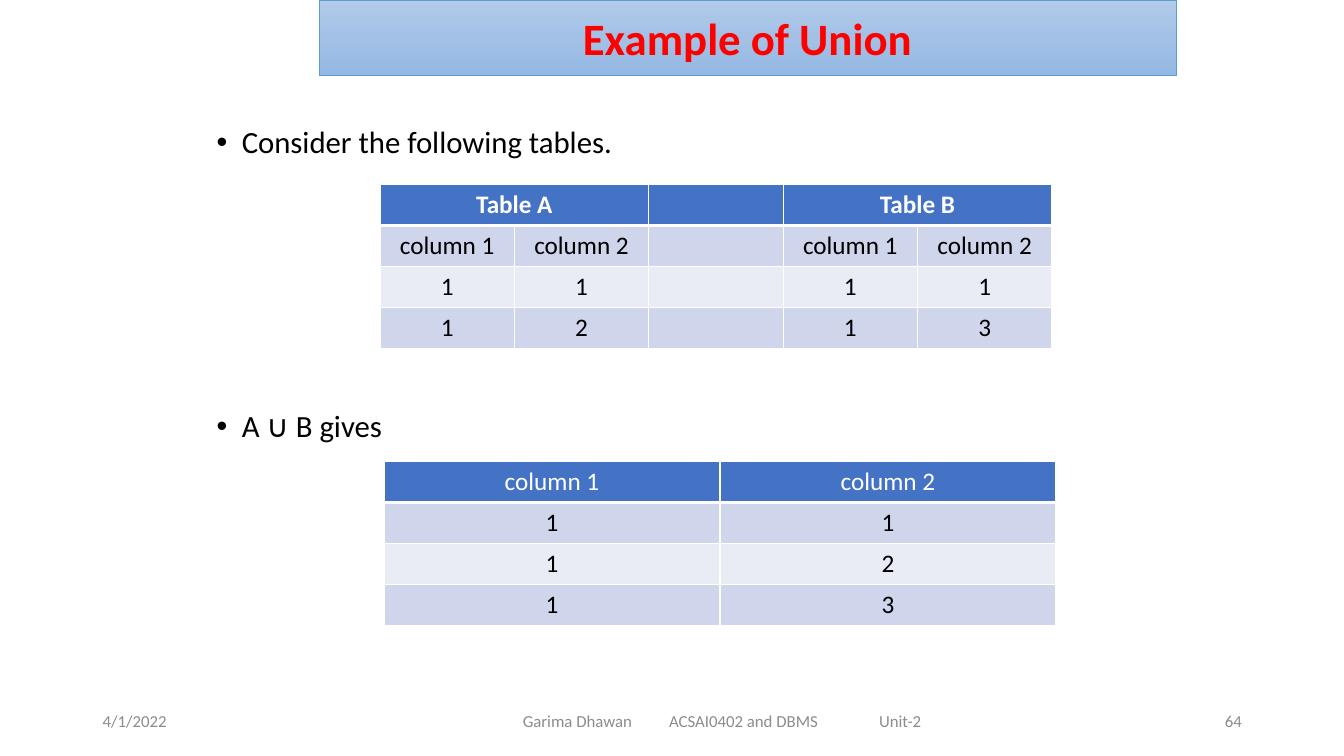
from copy import deepcopy

from pptx import Presentation
from pptx.dml.color import RGBColor
from pptx.enum.shapes import MSO_SHAPE as Shape
from pptx.enum.text import MSO_ANCHOR as Anchor, PP_ALIGN as Align
from pptx.oxml import parse_xml
from pptx.oxml.ns import nsdecls, qn
from pptx.util import Pt

HEADER, BAND, LIGHT = "4472C4", "CFD5EA", "E9EBF5"
GREY, BLACK, WHITE = "8C8C8C", "000000", "FFFFFF"


def color(value):
    return RGBColor.from_string(value)


def write(paragraph, text, size=18, fill=BLACK, bold=False, align=Align.LEFT):
    paragraph.alignment = align
    run = paragraph.add_run()
    run.text = text
    font = run.font
    font.name, font.size, font.bold = "Calibri", Pt(size), bold
    font.color.rgb = color(fill)


presentation = Presentation()
presentation.slide_width, presentation.slide_height = Pt(960), Pt(540)
slide = presentation.slides.add_slide(presentation.slide_layouts[6])

# Footer: date, course line with tab stops, slide number
footers = [
    (66.24, 216, 7.2, "4/1/2022", Align.LEFT),
    (318.24, 396, 55.2, "Garima Dhawan\tACSAI0402 and DBMS\tUnit-2", Align.LEFT),
    (678.24, 216, 7.2, "64", Align.RIGHT),
]
for left, width, inset, text, align in footers:
    frame = slide.shapes.add_textbox(Pt(left), Pt(500.4), Pt(width), Pt(28.8)).text_frame
    frame.word_wrap = True
    frame.vertical_anchor = Anchor.MIDDLE
    frame.margin_left = Pt(inset)
    paragraph = frame.paragraphs[0]
    if "\t" in text:
        tabs = parse_xml(f"<a:tabLst {nsdecls('a')}/>")
        for stop in (104.5, 254.5):
            tab = tabs.makeelement(qn("a:tab"), {"pos": str(Pt(stop)), "algn": "l"})
            tabs.append(tab)
        paragraph._p.get_or_add_pPr().append(tabs)
    write(paragraph, text, size=12, fill=GREY, align=align)

# Title banner
banner = slide.shapes.add_shape(Shape.RECTANGLE, Pt(228), Pt(0), Pt(612), Pt(54))
banner.shadow.inherit = False
banner.line.color.rgb = color("5B9BD5")
banner.line.width = Pt(0.5)
banner.fill.gradient()
banner.fill.gradient_angle = 270
stop_list = banner._element.spPr.find(".//" + qn("a:gsLst"))
stop_list.insert(1, deepcopy(stop_list[0]))
for stop, position, shade in zip(
    banner.fill.gradient_stops, (0, 0.5, 1), ("B1CBE9", "A3C1E5", "93B9E4")
):
    stop.position = position
    stop.color.rgb = color(shade)
banner.text_frame.vertical_anchor = Anchor.MIDDLE
write(banner.text_frame.paragraphs[0], "Example of Union", size=32, fill="FF0000",
      bold=True, align=Align.CENTER)

# Bullets, spaced so that the first table fits between them
body = slide.shapes.add_textbox(Pt(147.6), Pt(87.12), Pt(692.64), Pt(398.88)).text_frame
body.word_wrap = True
for index, text in enumerate(["Consider the following tables.", "A ∪ B gives"]):
    paragraph = body.add_paragraph() if index else body.paragraphs[0]
    properties = paragraph._p.get_or_add_pPr()
    properties.set("marL", str(Pt(18)))
    properties.set("indent", str(-Pt(18)))
    properties.append(parse_xml(f'<a:buFont {nsdecls("a")} typeface="Arial"/>'))
    properties.append(parse_xml(f'<a:buChar {nsdecls("a")} char="•"/>'))
    paragraph.line_spacing = 0.9
    paragraph.space_before = Pt(179 * index)
    write(paragraph, text, size=22)

# Tables: left, top, header bold, merged header columns, rows
ROW_HEIGHT, TABLE_WIDTH = 29.28, 480
tables = [
    (271.44, 131.76, True, [(0, 1), (3, 4)], [
        ["Table A", "", "", "Table B", ""],
        ["column 1", "column 2", "", "column 1", "column 2"],
        ["1", "1", "", "1", "1"],
        ["1", "2", "", "1", "3"],
    ]),
    (274.32, 329.76, False, [], [
        ["column 1", "column 2"],
        ["1", "1"],
        ["1", "2"],
        ["1", "3"],
    ]),
]
for left, top, header_bold, merges, rows in tables:
    columns = len(rows[0])
    table = slide.shapes.add_table(
        len(rows), columns, Pt(left), Pt(top), Pt(TABLE_WIDTH), Pt(ROW_HEIGHT * len(rows))
    ).table
    for column in table.columns:
        column.width = Pt(TABLE_WIDTH / columns)
    for row in table.rows:
        row.height = Pt(ROW_HEIGHT)
    for first, last in merges:
        table.cell(0, first).merge(table.cell(0, last))
    for r, values in enumerate(rows):
        for c, text in enumerate(values):
            cell = table.cell(r, c)
            for side in "LRTB":
                width = Pt(3 if r == 0 and side == "B" else 1)
                cell._tc.get_or_add_tcPr().append(parse_xml(
                    f'<a:ln{side} {nsdecls("a")} w="{width}"><a:solidFill>'
                    f'<a:srgbClr val="{WHITE}"/></a:solidFill></a:ln{side}>'))
            cell.fill.solid()
            cell.fill.fore_color.rgb = color(HEADER if r == 0 else BAND if r % 2 else LIGHT)
            cell.vertical_anchor = Anchor.MIDDLE
            if text:
                write(cell.text_frame.paragraphs[0], text, fill=BLACK if r else WHITE,
                      bold=header_bold and r == 0, align=Align.CENTER)

presentation.save("out.pptx")
